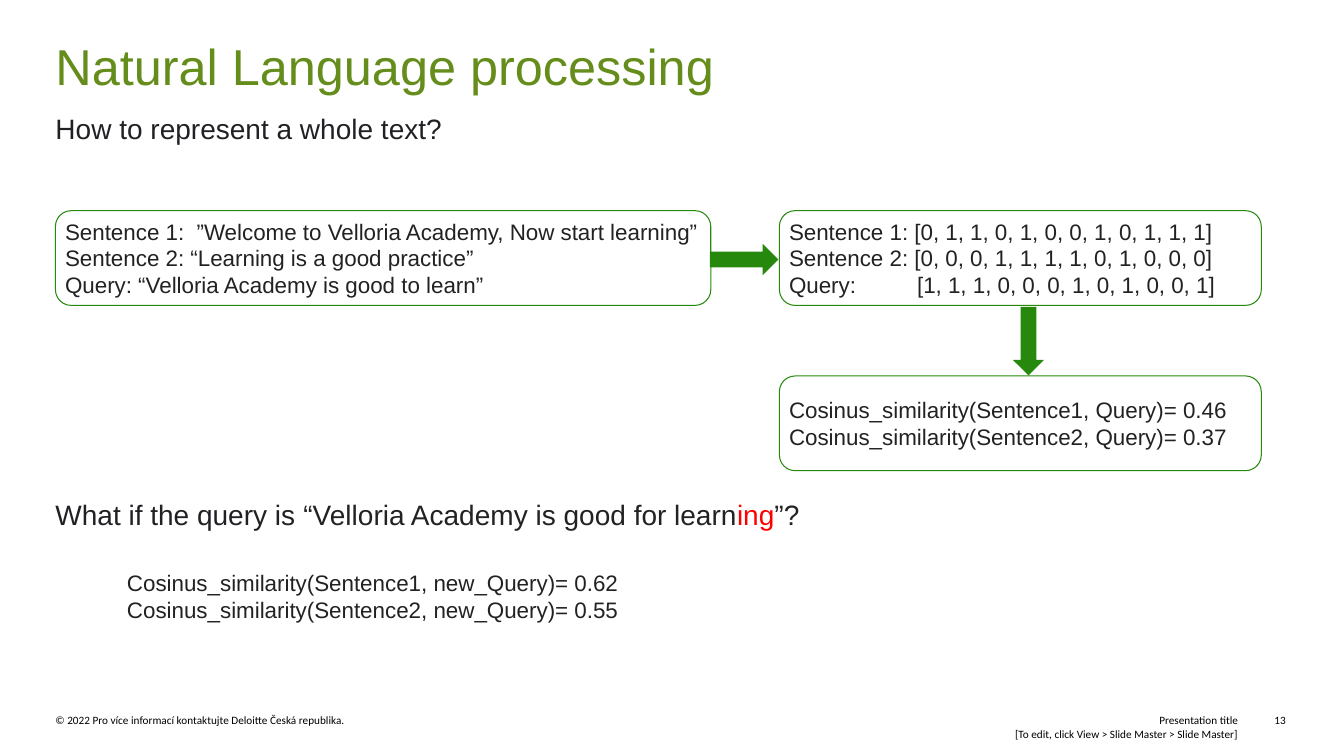
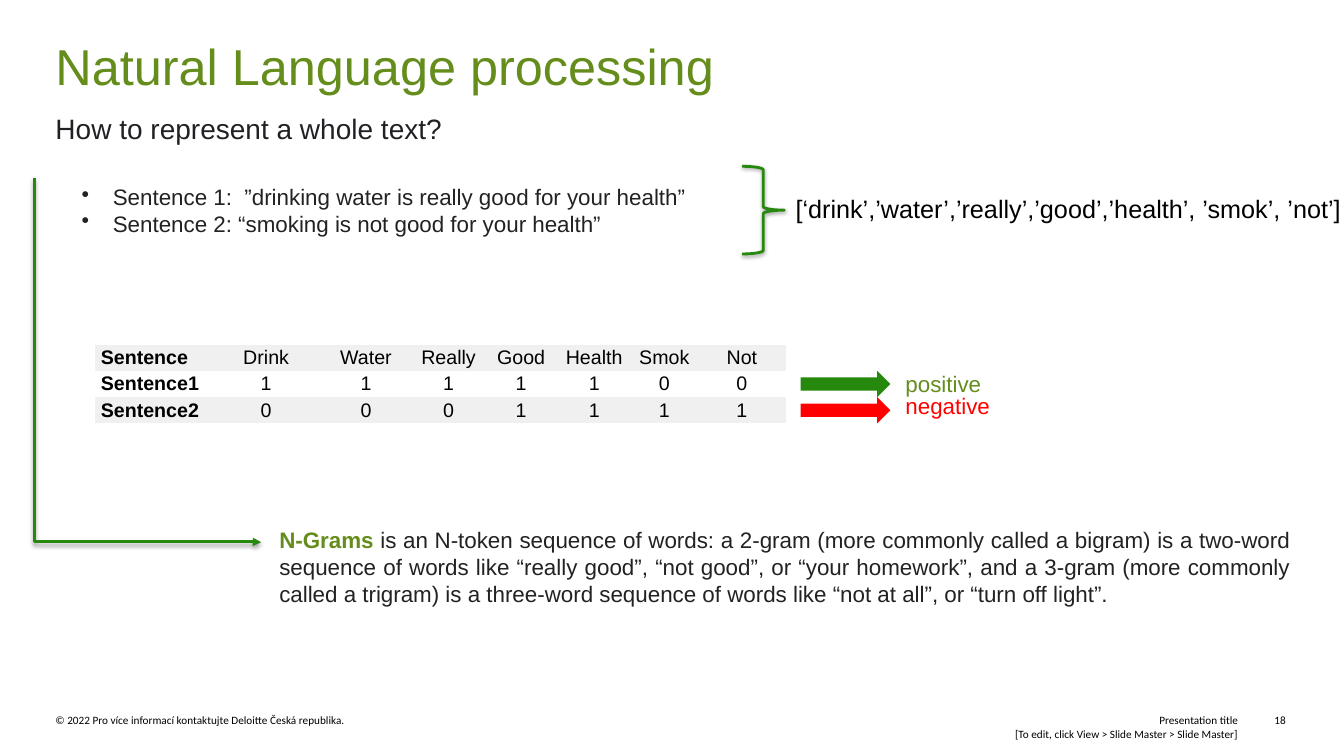
import pptx
import pptx.util
import pptx.dml.color
import pptx.enum.shapes
import pptx.enum.text
import pptx.oxml
import pptx.oxml.ns

Inches = pptx.util.Inches
Pt = pptx.util.Pt
RGB = pptx.dml.color.RGBColor.from_string
SHAPE = pptx.enum.shapes.MSO_SHAPE
ALIGN = pptx.enum.text.PP_ALIGN
qn = pptx.oxml.ns.qn
NS = pptx.oxml.ns.nsdecls("a")

COLORS = {
    "title": "658D1C",
    "accent": "648D1C",
    "green": "26890D",
    "red": "FF0000",
    "subtitle": "202124",
    "body": "222222",
    "black": "000000",
    "band": "F0F0F0",
    "white": "FFFFFF",
}
BODY = {"name": "Arial", "size": Pt(16), "color": "body"}
TITLE = {**BODY, "size": Pt(36), "color": "title"}
QUESTION = {**BODY, "size": Pt(20), "color": "subtitle", "align": ALIGN.JUSTIFY}
FOOTER = {"name": "Calibri", "size": Pt(8), "color": "black"}
CELL = {"name": "Arial", "size": Pt(14), "color": "black"}


def write(frame, paragraphs, style, margins=(0, 0, 0, 0), wrap=True):
    frame.word_wrap = wrap
    for side, margin in zip(("left", "top", "right", "bottom"), margins):
        setattr(frame, f"margin_{side}", Inches(margin))
    for index, runs in enumerate(paragraphs):
        paragraph = frame.add_paragraph() if index else frame.paragraphs[0]
        properties = paragraph._p.get_or_add_pPr()
        if "bullet" in style:
            properties.set("marL", str(Inches(0.31)))
            properties.set("indent", str(-Inches(0.31)))
            properties.append(pptx.oxml.parse_xml(f'<a:buChar {NS} char="{style["bullet"]}"/>'))
        if "tab" in style:
            properties.append(pptx.oxml.parse_xml(
                f'<a:tabLst {NS}><a:tab pos="{style["tab"]}" algn="l"/></a:tabLst>'))
        paragraph.alignment = style.get("align", ALIGN.LEFT)
        for text, changes in [(runs, {})] if isinstance(runs, str) else runs:
            run = paragraph.add_run()
            run.text = text
            look = {**style, **changes}
            for key in ("name", "size", "bold"):
                setattr(run.font, key, look.get(key))
            run.font.color.rgb = RGB(COLORS[look["color"]])


def add_block(slide, preset, area, fill=None, line=None, width=0.75):
    block = slide.shapes.add_shape(preset, *map(Inches, area))
    if fill:
        block.fill.solid()
        block.fill.fore_color.rgb = RGB(COLORS[fill])
    else:
        block.fill.background()
    if line:
        block.line.color.rgb = RGB(COLORS[line])
        block.line.width = Pt(width)
    else:
        block.line.fill.background()
    return block


deck = pptx.Presentation()
deck.slide_width = Inches(13.33)
deck.slide_height = Inches(7.5)
similarity, ngrams = [deck.slides.add_slide(deck.slide_layouts[6]) for _ in range(2)]

for slide, number in ((similarity, "13"), (ngrams, "18")):
    for area, paragraphs, style, wrap in (
        ((0.55, 0.35, 6.91, 0.77), ["Natural Language processing"], TITLE, True),
        ((0.55, 1.11, 4.62, 0.35), ["How to represent a whole text?"], QUESTION, True),
        ((0.55, 7.08, 5.86, 0.13),
         ["© 2022 Pro více informací kontaktujte Deloitte Česká republika."], FOOTER, True),
        ((6.93, 7.08, 5.35, 0.27),
         ["Presentation title", "[To edit, click View > Slide Master > Slide Master]"],
         {**FOOTER, "align": ALIGN.RIGHT}, True),
        ((12.64, 7.08, 0.13, 0.13), [number], FOOTER, False),
    ):
        frame = slide.shapes.add_textbox(*map(Inches, area)).text_frame
        write(frame, paragraphs, style, wrap=wrap)

for area, lines in (
    ((0.55, 2.09, 6.5, 0.94), [
        "Sentence 1:  ”Welcome to Velloria Academy, Now start learning”",
        "Sentence 2: “Learning is a good practice”",
        "Query: “Velloria Academy is good to learn”",
    ]),
    ((7.73, 2.09, 4.78, 0.94), [
        "Sentence 1: [0, 1, 1, 0, 1, 0, 0, 1, 0, 1, 1, 1]",
        "Sentence 2: [0, 0, 0, 1, 1, 1, 1, 0, 1, 0, 0, 0]",
        "Query:\t[1, 1, 1, 0, 0, 0, 1, 0, 1, 0, 0, 1]",
    ]),
    ((7.73, 3.73, 4.78, 0.94), [
        "Cosinus_similarity(Sentence1, Query)= 0.46",
        "Cosinus_similarity(Sentence2, Query)= 0.37",
    ]),
):
    step = add_block(similarity, SHAPE.ROUNDED_RECTANGLE, area, line="green")
    step.shadow.inherit = False
    step.text_frame.vertical_anchor = pptx.enum.text.MSO_ANCHOR.MIDDLE
    write(step.text_frame, lines, {**BODY, "tab": Inches(1.27)}, (0.05, 0, 0, 0))

for slide, area, color, angle in (
    (similarity, (7.04, 2.42, 0.68, 0.31), "green", 0),
    (similarity, (9.86, 3.23, 0.68, 0.31), "green", 90),
    (ngrams, (7.94, 3.68, 0.89, 0.26), "green", 0),
    (ngrams, (7.94, 3.94, 0.89, 0.26), "red", 0),
):
    arrow = add_block(slide, SHAPE.RIGHT_ARROW, area, fill=color)
    arrow.shadow.inherit = False
    arrow.rotation = angle

definition = [
    ("N-Grams ", {"color": "accent", "bold": True}),
    ("is an N-token sequence of words: a 2-gram (more commonly called a bigram) is a two-word "
     "sequence of words like “really good”, “not good”, or “your homework”, and a 3-gram "
     "(more commonly called a trigram) is a three-word sequence of words like “not at all”, "
     "or “turn off light”.", {}),
]
new_query = [
    ("What if the query is ", {}),
    ("“Velloria Academy is good for learn", {"color": "body"}),
    ("ing", {"color": "red"}),
    ("”?", {"color": "body"}),
]
for slide, area, paragraphs, style, wrap in (
    (similarity, (0.55, 4.94, 7.44, 0.31), [new_query], QUESTION, True),
    (similarity, (1.26, 5.65, 5.07, 0.54), [
        "Cosinus_similarity(Sentence1, new_Query)= 0.62",
        "Cosinus_similarity(Sentence2, new_Query)= 0.55",
    ], BODY, True),
    (ngrams, (0.81, 1.82, 6.5, 0.54), [
        "Sentence 1:  ”drinking water is really good for your health”",
        "Sentence 2: “smoking is not good for your health”",
    ], {**BODY, "bullet": "•"}, True),
    (ngrams, (7.89, 1.92, 5.42, 0.3),
     ["[‘drink’,’water’,’really’,’good’,’health’, ’smok’, ’not’]"],
     {**BODY, "size": Pt(18), "color": "black"}, False),
    (ngrams, (8.98, 3.67, 3.42, 0.27), ["positive"], {**BODY, "color": "accent"}, True),
    (ngrams, (8.98, 3.89, 3.42, 0.27), ["negative"], {**BODY, "color": "red"}, True),
    (ngrams, (2.77, 5.22, 10.03, 0.81), [definition], {**BODY, "align": ALIGN.JUSTIFY}, True),
):
    frame = slide.shapes.add_textbox(*map(Inches, area)).text_frame
    write(frame, paragraphs, style, wrap=wrap)

word_counts = [
    ["Sentence", "Drink", "Water", "Really", "Good", "Health", "Smok", "Not"],
    ["Sentence1", "1", "1", "1", "1", "1", "0", "0"],
    ["Sentence2", "0", "0", "0", "1", "1", "1", "1"],
]
counts = ngrams.shapes.add_table(
    3, 8, Inches(0.94), Inches(3.42), Inches(6.86), Inches(0.78)).table
counts.first_row = False
counts.horz_banding = False
table_style = counts._tbl.tblPr.find(qn("a:tableStyleId"))
table_style.text = "{2D5ABB26-0587-4C30-8999-92F81FD0307C}"
for column, width in zip(counts.columns, (1.17, 1.06, 0.92, 0.72, 0.72, 0.73, 0.66, 0.88)):
    column.width = Inches(width)
for row, values in enumerate(word_counts):
    counts.rows[row].height = Inches(0.26)
    for column, value in enumerate(values):
        cell = counts.cell(row, column)
        cell.fill.solid()
        cell.fill.fore_color.rgb = RGB(COLORS["white" if row % 2 else "band"])
        cell.vertical_anchor = pptx.enum.text.MSO_ANCHOR.MIDDLE
        heading = column == 0
        style = {**CELL, "bold": heading, "align": ALIGN.LEFT if heading else ALIGN.CENTER}
        write(cell.text_frame, [value], style)
        for side, margin in (("left", 0.06), ("right", 0.06), ("top", 0.01), ("bottom", 0.01)):
            setattr(cell, f"margin_{side}", Inches(margin))

brace = add_block(ngrams, SHAPE.RIGHT_BRACE, (7.36, 1.65, 0.42, 0.87), line="green", width=2)

ngram_link = ngrams.shapes.add_connector(
    pptx.enum.shapes.MSO_CONNECTOR.ELBOW,
    Inches(-0.34), Inches(2.45), Inches(3.27), Inches(4.7))
ngram_link.line.color.rgb = RGB(COLORS["green"])
ngram_link.line.width = Pt(2)
link_properties = ngram_link._element.spPr
link_properties.find(qn("a:xfrm")).set("rot", "16200000")
link_properties.find(qn("a:xfrm")).set("flipH", "1")
bend = link_properties.find(qn("a:prstGeom"))
for guides in bend.findall(qn("a:avLst")):
    bend.remove(guides)
bend.append(pptx.oxml.parse_xml(
    f'<a:avLst {NS}><a:gd name="adj1" fmla="val 99900"/></a:avLst>'))
link_properties.find(qn("a:ln")).append(
    pptx.oxml.parse_xml(f'<a:tailEnd {NS} type="triangle"/>'))

for outline in (brace, ngram_link):
    outline._element.spPr.append(pptx.oxml.parse_xml(
        f'<a:effectLst {NS}><a:outerShdw blurRad="{Pt(3.1)}" dist="{Pt(1.6)}" dir="5400000" '
        f'rotWithShape="0"><a:srgbClr val="{COLORS["black"]}"><a:alpha val="38000"/>'
        f'</a:srgbClr></a:outerShdw></a:effectLst>'))

deck.save("out.pptx")
